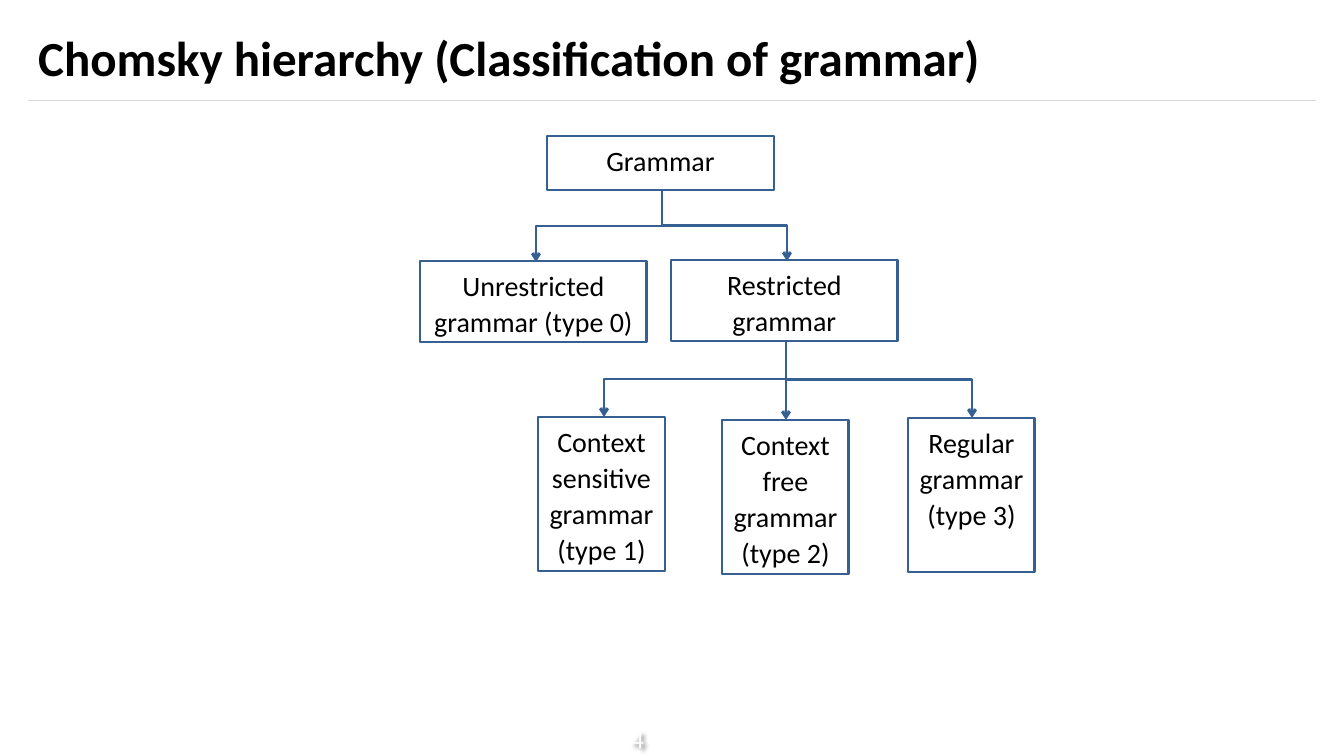
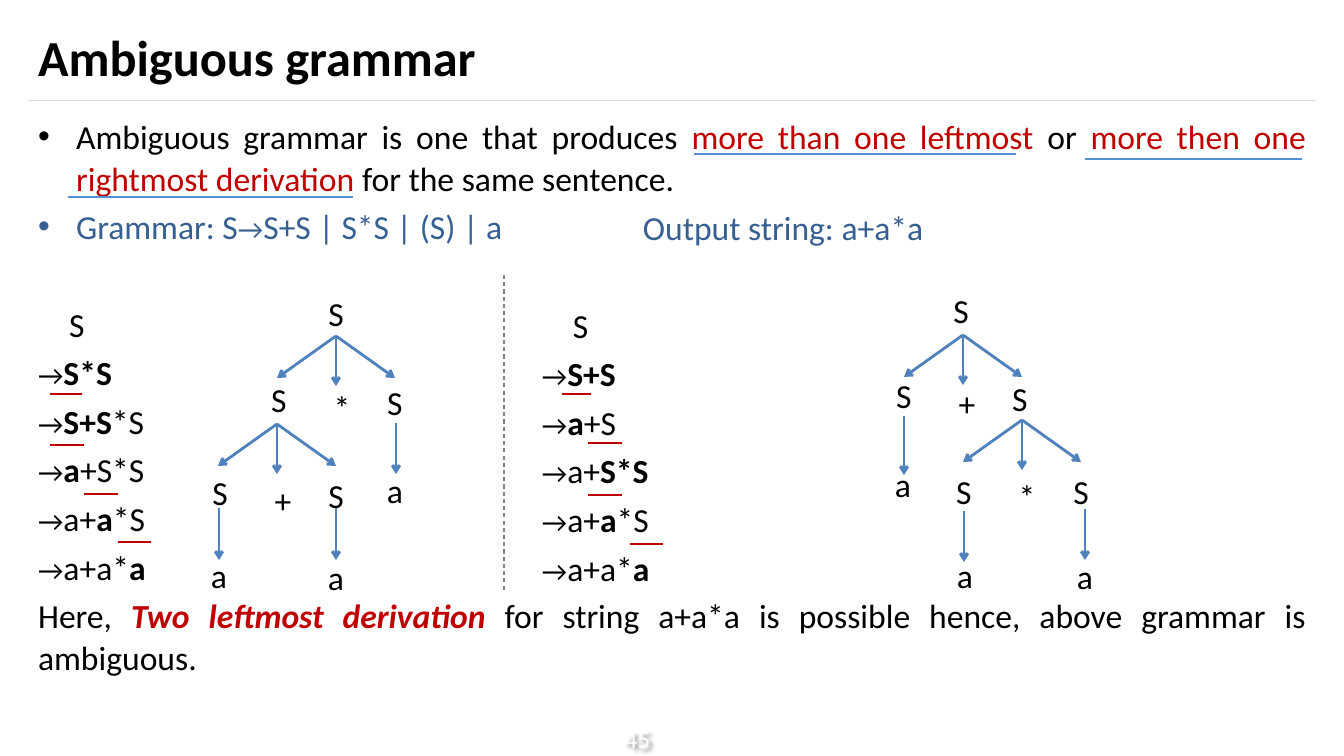
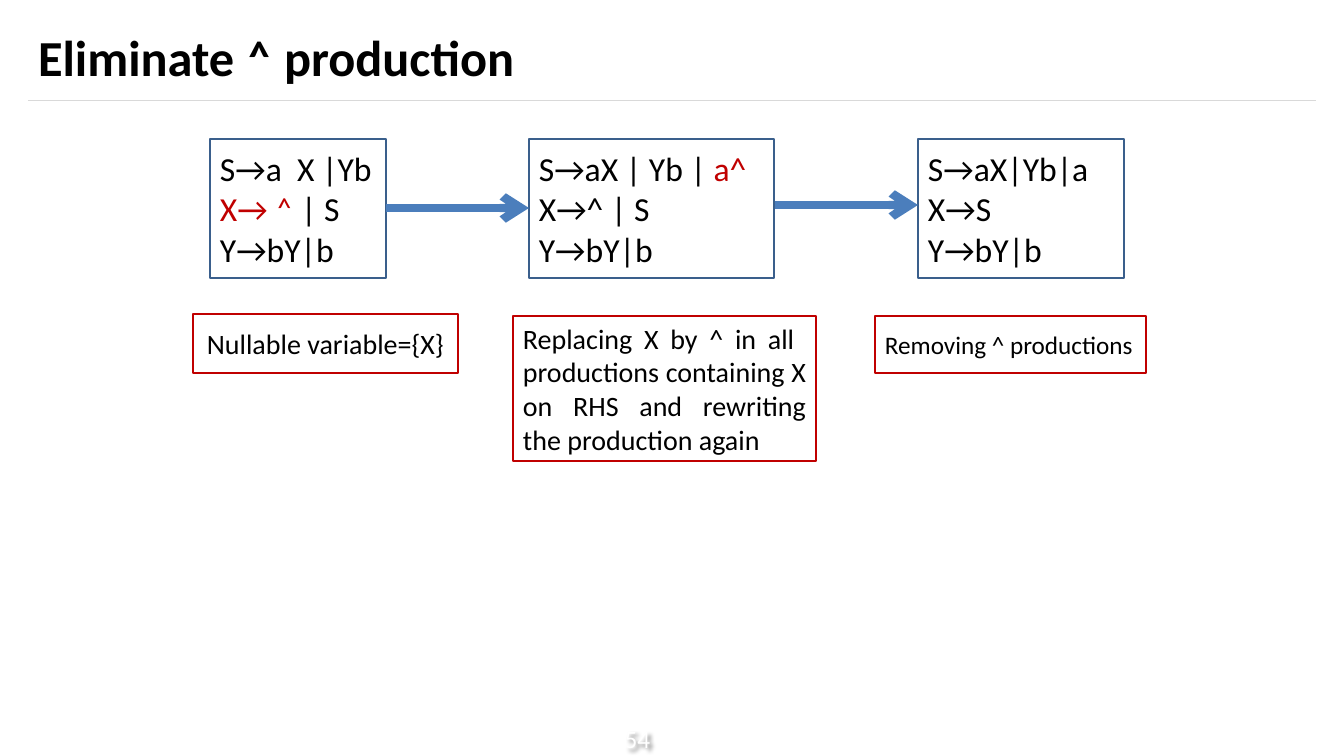
"""Build three lecture slides on grammars: hierarchy, ambiguity and null productions."""
from lxml.etree import SubElement
from pptx import Presentation
from pptx.dml.color import RGBColor
from pptx.enum.dml import MSO_LINE
from pptx.enum.shapes import MSO_CONNECTOR, MSO_SHAPE
from pptx.enum.text import MSO_ANCHOR, MSO_AUTO_SIZE, PP_ALIGN
from pptx.oxml.ns import qn
from pptx.util import Emu, Pt

COLORS = {
    "black": "000000", "white": "FFFFFF", "red": "C00000", "blue": "376092",
    "rule": "D9D9D9", "underline": "558ED5", "branch": "4F81BD",
    "divider": "808080", "step": "3A5F8C", "flow": "4B7EBC",
}
FONT = "Calibri"
SLIDE_SIZE = (1344, 756)
TITLE_BOX = (28, 12, 1288, 89)
NUMBER_BOX = (591, 718, 93, 40)
RULE = (28, 100.5, 1316, 100.5)

STYLES = {
    "": {},
    "red": {"color": "red"},
    "blue": {"color": "blue"},
    "bold": {"bold": True},
    "arrow": {"size": 20},
    "blue arrow": {"size": 20, "color": "blue"},
    "key": {"color": "red", "bold": True, "italic": True},
}
CENTER = {"alignment": PP_ALIGN.CENTER}
LEFT = {"alignment": PP_ALIGN.LEFT}
JUSTIFY = {"alignment": PP_ALIGN.JUSTIFY}
NODE_SPACING = {**CENTER, "line_spacing": 1.07, "space_after": Pt(8)}
BODY_SPACING = {**JUSTIFY, "line_spacing": 1.04, "space_before": Pt(4.8)}
DERIVATION_GAP = {"space_before": Pt(39.6)}

HIERARCHY = {"title": "Chomsky hierarchy (Classification of grammar)", "size": 35, "number": "4"}
GRAMMARS = [
    ("Grammar", (547, 136, 227, 54)),
    ("Unrestricted grammar (type 0)", (420, 261, 227, 81)),
    ("Restricted grammar", (671, 260, 227, 81)),
    ("Context sensitive grammar (type 1)", (538, 417, 127, 154)),
    ("Context free grammar (type 2)", (722, 420, 127, 154)),
    ("Regular grammar (type 3)", (908, 418, 127, 154)),
]
ELBOWS = [
    (662, 190, 536, 262), (662, 190, 787, 261),
    (786, 341, 604, 417), (786, 341, 972, 418),
]
MIDDLE_BRANCH = (786, 379, 786, 420)

AMBIGUITY = {"title": "Ambiguous grammar", "size": 36, "number": "45"}
DEFINITION = [
    ("Ambiguous grammar is one that produces ", ""), ("more than one leftmost ", "red"),
    ("or", ""), (" more then one rightmost derivation ", "red"), ("for the same sentence.", ""),
]
PRODUCTIONS = [("Grammar: S", "blue"), ("→", "blue arrow"), ("S+S | S*S | (S) | a", "blue")]
OUTPUT = [("Output string: a+a*a", "blue")]
CONCLUSION = [
    ("Here, ", ""), ("Two leftmost derivation ", "key"),
    ("for string a+a*a is possible hence, above grammar is ambiguous.", ""),
]
PRODUCT_FIRST = [
    ("", "S*S", ""), ("", "S+S", "*S"), ("", "a", "+S*S"), ("a+", "a", "*S"), ("a+a*", "a", ""),
]
SUM_FIRST = [
    ("", "S+S", ""), ("", "a", "+S"), ("a+", "S*S", ""), ("a+", "a", "*S"), ("a+a*", "a", ""),
]
BODY_BOX = (28, 109, 1288, 588)
OUTPUT_BOX = (633, 200, 400, 52)
SUM_FIRST_BOX = (532, 298, 200, 300)
START_INDENT = 31
BULLET_INDENT = 38
EXPANDED = [
    (50, 82, 394), (50, 84, 445), (84, 118, 494), (118, 151, 542),
    (562, 591, 394), (588, 622, 443), (588, 622, 495), (630, 663, 544),
]
EMPHASIZED = [(694, 1016, 154), (68, 353, 197), (1085, 1302, 159)]
DIVIDER = (504, 275, 504, 592)
TREE_NODES = [
    ("S", 336, 313), ("S", 279, 399), ("*", 342, 407), ("S", 395, 402),
    ("S", 220, 492), ("+", 283, 500), ("S", 336, 495), ("a", 395, 490),
    ("a", 219, 575), ("a", 336, 577),
    ("S", 961, 310), ("S", 904, 395), ("+", 967, 403), ("S", 1020, 398),
    ("a", 903, 484), ("S", 964, 491), ("*", 1027, 496), ("S", 1081, 491),
    ("a", 965, 575), ("a", 1085, 576),
]
NODE_SIZE = (50, 42)
FORKS = [(336, 336), (277, 424), (963, 335), (1022, 420)]
FORK_ARMS = [(-59, 42), (59, 42), (0, 50)]
DROPS = [
    (219, 508, 52), (336, 508, 52), (396, 423, 51),
    (904, 416, 59), (964, 511, 51), (1085, 509, 51),
]

ELIMINATION = {"title": "Eliminate ˄ production", "size": 36, "number": "54"}
STEPS = [
    ((210, 139, 176, 139), [
        [("S→a  X |Yb", "")], [("X→ ˄ ", "red"), ("| S ", "")], [("Y→bY|b", "")]]),
    ((529, 139, 245, 139), [
        [("S→aX | Yb | ", ""), ("a^", "red")], [("X→^ | S", "")], [("Y→bY|b", "")]]),
    ((918, 139, 206, 139), [[("S→aX|Yb|a", "")], [("X→S", "")], [("Y→bY|b", "")]]),
]
CAPTIONS = [
    ("Nullable variable={X}", (193, 314, 265, 59), 20, CENTER),
    ("Replacing X by ^ in all  productions containing X on RHS and rewriting the production again",
     (513, 316, 303, 145), 20, JUSTIFY),
    ("Removing ^ productions", (875, 316, 271, 57), 18, JUSTIFY),
]
FLOWS = [(386, 208, 529, 208), (775, 205, 918, 205)]


def px(length):
    return Emu(round(length * 914400 / 100.8))


def color(name):
    return RGBColor.from_string(COLORS[name])


def assign(target, values):
    for name, value in values.items():
        setattr(target, name, value)


def place(shape, box):
    assign(shape, dict(zip(("left", "top", "width", "height"), map(px, box))))


def write(shape, paragraphs, size, layout, anchor=MSO_ANCHOR.MIDDLE, **look):
    frame = shape.text_frame
    assign(frame, {"word_wrap": True, "auto_size": MSO_AUTO_SIZE.NONE, "vertical_anchor": anchor})
    for index, runs in enumerate(paragraphs):
        paragraph = frame.add_paragraph() if index else frame.paragraphs[0]
        assign(paragraph, layout)
        for text, style in runs:
            run = paragraph.add_run()
            run.text = text
            values = {"size": size, "color": "black", "bold": False, "italic": False,
                      **look, **STYLES[style]}
            run.font.color.rgb = color(values.pop("color"))
            assign(run.font, {**values, "name": FONT, "size": Pt(values["size"])})
    return frame.paragraphs


def indent(paragraph, margin, first, bullet=None):
    properties = paragraph._p.get_or_add_pPr()
    properties.set("marL", str(px(margin)))
    properties.set("indent", str(px(first)))
    if bullet:
        SubElement(properties, qn("a:buFont"), typeface="Arial")
        SubElement(properties, qn("a:buChar"), char=bullet)
    else:
        SubElement(properties, qn("a:buNone"))


def text_box(slide, box, paragraphs, size, layout, **look):
    area = slide.shapes.add_textbox(*map(px, box))
    write(area, paragraphs, size, layout, **look)
    return area


def framed(slide, box, paragraphs, size, layout, outline, **look):
    panel = slide.shapes.add_shape(MSO_SHAPE.RECTANGLE, *map(px, box))
    panel.shadow.inherit = False
    panel.fill.background()
    panel.line.color.rgb = color(outline)
    panel.line.width = Pt(2)
    write(panel, paragraphs, size, layout, **look)


def line(slide, ends, stroke, width=2, arrow=False, dash=None, kind=MSO_CONNECTOR.STRAIGHT):
    link = slide.shapes.add_connector(kind, *map(px, ends))
    link.line.color.rgb = color(stroke)
    assign(link.line, {"width": Pt(width), "dash_style": dash})
    properties = link._element.spPr
    if arrow:
        SubElement(properties.find(qn("a:ln")), qn("a:tailEnd"), type="arrow")
    SubElement(properties, qn("a:effectLst"))
    return link


def elbow(slide, x1, y1, x2, y2):
    middle_x, middle_y = (x1 + x2) / 2, (y1 + y2) / 2
    half_drop, half_span = (y2 - y1) / 2, abs(x2 - x1) / 2
    ends = (middle_x - half_drop, middle_y - half_span,
            middle_x + half_drop, middle_y + half_span)
    link = line(slide, ends, "blue", arrow=True, kind=MSO_CONNECTOR.ELBOW)
    frame = link._element.spPr.find(qn("a:xfrm"))
    turn = {"rot": "5400000"} if x2 < x1 else {"rot": "16200000", "flipH": "1"}
    for name, value in turn.items():
        frame.set(name, value)


def add_slide(deck, heading, layout="Title Only"):
    slide = deck.slides.add_slide(deck.slide_layouts.get_by_name(layout))
    title = slide.shapes.title
    place(title, TITLE_BOX)
    write(title, [[(heading["title"], "")]], heading["size"], LEFT, bold=True)
    line(slide, RULE, "rule", 0.75)
    number = text_box(slide, NUMBER_BOX, [[(heading["number"], "")]], 18, CENTER, color="white")
    effects = SubElement(number._element.spPr, qn("a:effectLst"))
    shadow = SubElement(effects, qn("a:outerShdw"), blurRad="38100", dist="38100", dir="2700000")
    black = SubElement(shadow, qn("a:srgbClr"), val=COLORS["black"])
    SubElement(black, qn("a:alpha"), val="43000")
    return slide


def derivation(steps):
    rows = [[("→", "arrow"), (before, ""), (changed, "bold"), (after, "")]
            for before, changed, after in steps]
    return [[("S", "")]] + [[run for run in row if run[0]] for row in rows]


def hierarchy_slide(deck):
    slide = add_slide(deck, HIERARCHY)
    for label, box in GRAMMARS:
        framed(slide, box, [[(label, "")]], 20, NODE_SPACING, "blue", anchor=MSO_ANCHOR.TOP)
    for ends in ELBOWS:
        elbow(slide, *ends)
    line(slide, MIDDLE_BRANCH, "blue", arrow=True)


def ambiguity_slide(deck):
    slide = add_slide(deck, AMBIGUITY, "Title and Content")
    body = slide.placeholders[1]
    place(body, BODY_BOX)
    content = [DEFINITION, PRODUCTIONS, *derivation(PRODUCT_FIRST), CONCLUSION]
    bullets, start, rest = (0, 1), 2, range(3, len(content))
    paragraphs = write(body, content, 24, BODY_SPACING, MSO_ANCHOR.TOP)
    for index in bullets:
        indent(paragraphs[index], BULLET_INDENT, -BULLET_INDENT, "•")
    assign(paragraphs[start], DERIVATION_GAP)
    indent(paragraphs[start], 0, START_INDENT)
    for index in rest:
        indent(paragraphs[index], 0, 0)

    text_box(slide, OUTPUT_BOX, [OUTPUT], 24, BODY_SPACING, anchor=MSO_ANCHOR.TOP)
    sums = text_box(slide, SUM_FIRST_BOX, derivation(SUM_FIRST), 24, BODY_SPACING,
                    anchor=MSO_ANCHOR.TOP)
    indent(sums.text_frame.paragraphs[0], 0, START_INDENT)

    for marks, stroke in ((EXPANDED, "red"), (EMPHASIZED, "underline")):
        for left, right, y in marks:
            line(slide, (left, y, right, y), stroke)
    line(slide, DIVIDER, "divider", 0.75, dash=MSO_LINE.DASH)
    width, height = NODE_SIZE
    for label, x, y in TREE_NODES:
        text_box(slide, (x - width / 2, y - height / 2, width, height), [[(label, "")]], 24, CENTER)
    branches = [(x, y, x + dx, y + dy) for x, y in FORKS for dx, dy in FORK_ARMS]
    branches += [(x, y, x, y + drop) for x, y, drop in DROPS]
    for ends in branches:
        line(slide, ends, "branch", arrow=True)


def elimination_slide(deck):
    slide = add_slide(deck, ELIMINATION)
    for box, rules in STEPS:
        framed(slide, box, rules, 24, LEFT, "step")
    for caption, box, size, layout in CAPTIONS:
        framed(slide, box, [[(caption, "")]], size, layout, "red")
    for ends in FLOWS:
        line(slide, ends, "flow", 6, arrow=True)


deck = Presentation()
assign(deck, dict(zip(("slide_width", "slide_height"), map(px, SLIDE_SIZE))))
for build in (hierarchy_slide, ambiguity_slide, elimination_slide):
    build(deck)
deck.save("out.pptx")
